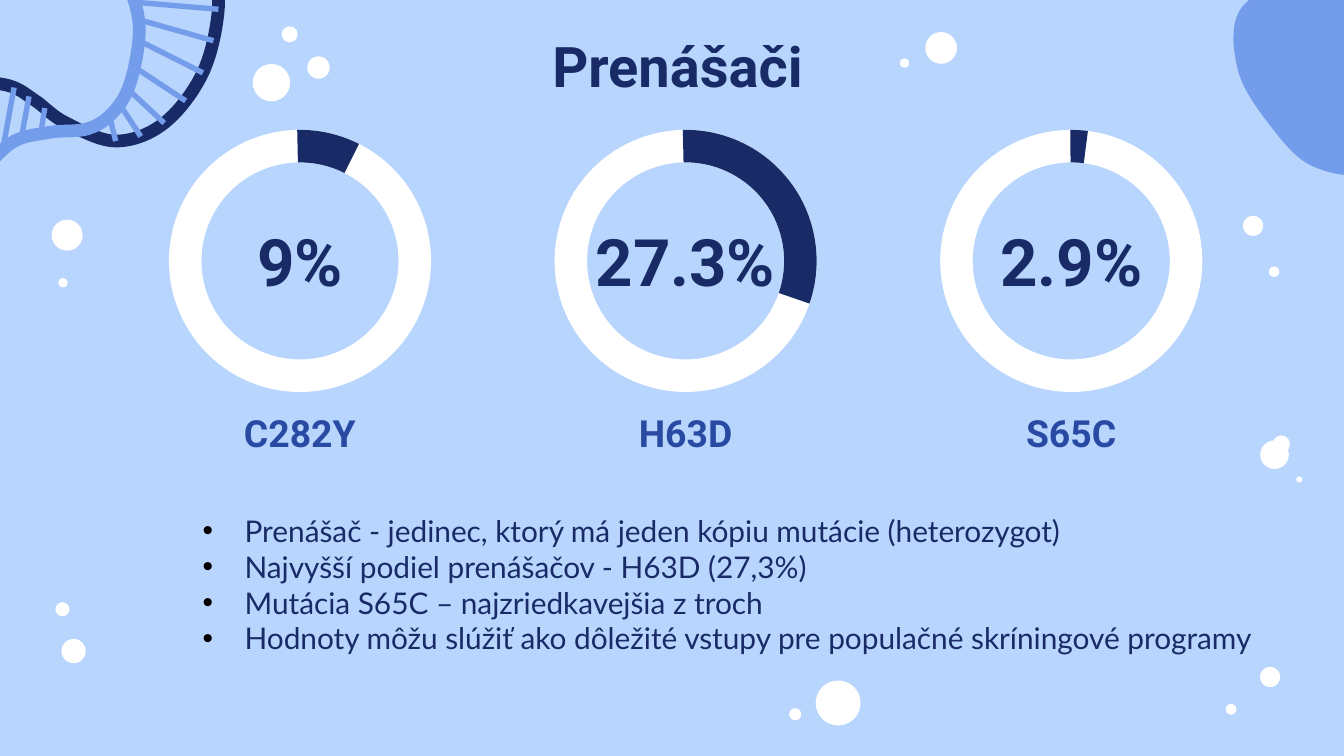
from math import hypot
from lxml.etree import SubElement
from pptx import Presentation
from pptx.dml.color import RGBColor
from pptx.enum.shapes import MSO_SHAPE
from pptx.enum.text import MSO_ANCHOR, PP_ALIGN
from pptx.oxml.ns import qn
from pptx.util import Pt

THEME = dict(bg="B8D5FE", navy="182B67", blue="284AA3", light="739CEA",
             white="FFFFFF", bullet="000000", head="Roboto", body="Lato",
             title_size=30, value_size=35, label_size=20, body_size=16)

TITLE = "Prenášači"
RINGS = [
    dict(label="C282Y", value="9%", start=268.8, sweep=28),
    dict(label="H63D", value="27.3%", start=268.8, sweep=110.2),
    dict(label="S65C", value="2.9%", start=269.6, sweep=7.7),
]
BULLETS = [
    "Prenášač - jedinec, ktorý má jeden kópiu mutácie (heterozygot)",
    "Najvyšší podiel prenášačov - H63D (27,3%)",
    "Mutácia S65C – najzriedkavejšia z troch",
    "Hodnoty môžu slúžiť ako dôležité vstupy pre populačné skríningové programy",
]

BUBBLE_CLUSTERS = {
    "beside helix": [(145.4, 44.3, 20), (170.6, 36.2, 12), (155.2, 18.4, 8.6)],
    "beside title": [(504.2, 25.7, 17), (484.6, 33.8, 5)],
    "left middle": [(36, 126, 16.6), (33.8, 151.5, 5)],
    "left bottom": [(39.4, 348.8, 13), (33.5, 326.4, 7.6)],
    "centre bottom": [(449, 376.6, 24), (426, 382.7, 6.5)],
    "right top": [(671.3, 121, 10.8), (682.6, 145.6, 5.6)],
    "right middle": [(682.8, 243.6, 15.3), (686.4, 238, 9.4), (696, 256.9, 3.2)],
    "right bottom": [(680.4, 362.7, 10.8), (659.5, 380, 5.8)],
}

BLOB_KNOTS = [(734, -1), (708, -16), (666, 3), (663, 37), (681, 68),
              (703, 89), (733, 92), (753, 65), (742, 9)]
DARK_KNOTS = [(-18, 43), (5, 46), (19, 54), (35, 65.7), (62, 75.6),
              (88, 66), (108.7, 39), (117, 5), (113.8, -20)]
LIGHT_KNOTS = [(-15, 118), (-12.6, 98), (5.5, 77), (26, 71), (47, 69),
               (60.4, 60.4), (69.7, 44.8), (74.6, 18), (71.3, -1.5), (62, -19)]
STRAND_WIDTH, RUNG_WIDTH = 6.8, 2.9
RUNG_RUNS = [
    dict(count=3, dark_start=2.35, dark_step=-0.6, light_start=2.8, light_step=-0.5),
    dict(count=7, dark_start=4, dark_step=0.5, light_start=4.85, light_step=0.5),
]

RING_LEFT, RING_TOP, RING_SIZE, RING_STEP = 90.5, 69.6, 140.4, 206.6
RING_BAND = 0.124
DEGREE = 60000 / 100000
VALUE_WIDTH, LABEL_WIDTH = 116, 181.4


def rgb(name):
    return RGBColor.from_string(THEME[name])


def spline_point(knots, position):
    last = len(knots) - 1
    i = min(int(position), last - 1)
    t = position - i
    before, start, end, after = (knots[min(max(k, 0), last)] for k in range(i - 1, i + 3))
    return tuple(b + t / 2 * (c - a + t * (2 * a - 5 * b + 4 * c - d
                                           + t * (3 * (b - c) + d - a)))
                 for a, b, c, d in zip(before, start, end, after))


def spline(knots, steps=10):
    return [spline_point(knots, k / steps) for k in range((len(knots) - 1) * steps + 1)]


def closed_spline(knots, steps=10):
    wrapped = knots[-1:] + knots + knots[:2]
    return spline(wrapped, steps)[steps:-steps - 1]


def ribbon(centreline, width):
    left, right = [], []
    for i, (x, y) in enumerate(centreline):
        x1, y1 = centreline[max(i - 1, 0)]
        x2, y2 = centreline[min(i + 1, len(centreline) - 1)]
        scale = width / 2 / hypot(x2 - x1, y2 - y1)
        dx, dy = (y1 - y2) * scale, (x2 - x1) * scale
        left.append((x + dx, y + dy))
        right.append((x - dx, y - dy))
    return left + right[::-1]


def paint(sp, color):
    sp.shadow.inherit = False
    sp.fill.solid()
    sp.fill.fore_color.rgb = rgb(color)
    sp.line.fill.background()
    return sp


def add_preset(s, kind, x, y, size, color):
    return paint(s.shapes.add_shape(kind, Pt(x), Pt(y), Pt(size), Pt(size)), color)


def add_outline(s, points, color):
    start, *rest = [(Pt(x), Pt(y)) for x, y in points]
    builder = s.shapes.build_freeform(*start)
    builder.add_line_segments(rest, close=True)
    return paint(builder.convert_to_shape(), color)


def add_bullet(p, char, indent=22.5):
    pPr = p._p.get_or_add_pPr()
    pPr.set("marL", str(Pt(indent)))
    pPr.set("indent", str(-Pt(indent)))
    SubElement(SubElement(pPr, qn("a:buClr")), qn("a:srgbClr"), val=THEME["bullet"])
    SubElement(pPr, qn("a:buFont"), typeface="Arial")
    SubElement(pPr, qn("a:buChar"), char=char)


def add_text(s, lines, x, y, w, h, size, color="navy", font="head", bold=True,
             align=PP_ALIGN.CENTER, anchor=MSO_ANCHOR.MIDDLE, inset=7.2, bullet=None):
    tf = s.shapes.add_textbox(Pt(x), Pt(y), Pt(w), Pt(h)).text_frame
    tf.word_wrap = True
    tf.vertical_anchor = anchor
    tf.margin_top = tf.margin_bottom = Pt(inset)
    for i, line in enumerate(lines):
        p = tf.add_paragraph() if i else tf.paragraphs[0]
        p.alignment = align
        r = p.add_run()
        r.text = line
        r.font.name, r.font.size, r.font.bold = THEME[font], Pt(THEME[size]), bold
        r.font.color.rgb = rgb(color)
        if bullet:
            add_bullet(p, bullet)


def add_bubbles(s):
    for cluster in BUBBLE_CLUSTERS.values():
        for cx, cy, d in cluster:
            add_preset(s, MSO_SHAPE.OVAL, cx - d / 2, cy - d / 2, d, "white")


def add_helix(s):
    add_outline(s, ribbon(spline(DARK_KNOTS), STRAND_WIDTH), "navy")
    for run in RUNG_RUNS:
        for i in range(run["count"]):
            dark_end = spline_point(DARK_KNOTS, run["dark_start"] + i * run["dark_step"])
            light_end = spline_point(LIGHT_KNOTS, run["light_start"] + i * run["light_step"])
            add_outline(s, ribbon([dark_end, light_end], RUNG_WIDTH), "light")
    add_outline(s, ribbon(spline(LIGHT_KNOTS), STRAND_WIDTH), "light")


def add_ring(s, x, ring):
    cx = x + RING_SIZE / 2
    donut = add_preset(s, MSO_SHAPE.DONUT, x, RING_TOP, RING_SIZE, "white")
    donut.adjustments[0] = RING_BAND
    arc = add_preset(s, MSO_SHAPE.BLOCK_ARC, x, RING_TOP, RING_SIZE, "navy")
    end = (ring["start"] + ring["sweep"]) % 360
    for k, value in enumerate((ring["start"] * DEGREE, end * DEGREE, RING_BAND)):
        arc.adjustments[k] = value
    add_text(s, [ring["value"]], cx - VALUE_WIDTH / 2, 108.7, VALUE_WIDTH, 62, "value_size")
    add_text(s, [ring["label"]], cx - LABEL_WIDTH / 2, 216.4, LABEL_WIDTH, 34.6,
             "label_size", color="blue", anchor=MSO_ANCHOR.BOTTOM)


def main():
    prs = Presentation()
    prs.slide_width, prs.slide_height = Pt(720), Pt(405)
    s = prs.slides.add_slide(prs.slide_layouts[6])
    s.background.fill.solid()
    s.background.fill.fore_color.rgb = rgb("bg")

    add_outline(s, closed_spline(BLOB_KNOTS), "light")
    add_bubbles(s)
    add_helix(s)
    add_text(s, [TITLE], 59.5, 12.7, 607, 44.6, "title_size")
    for i, ring in enumerate(RINGS):
        add_ring(s, RING_LEFT + i * RING_STEP, ring)
    add_text(s, BULLETS, 101.5, 271.1, 614.2, 85, "body_size", font="body", bold=False,
             align=PP_ALIGN.LEFT, anchor=MSO_ANCHOR.TOP, inset=3.6, bullet="•")
    prs.save("out.pptx")


if __name__ == "__main__":
    main()
